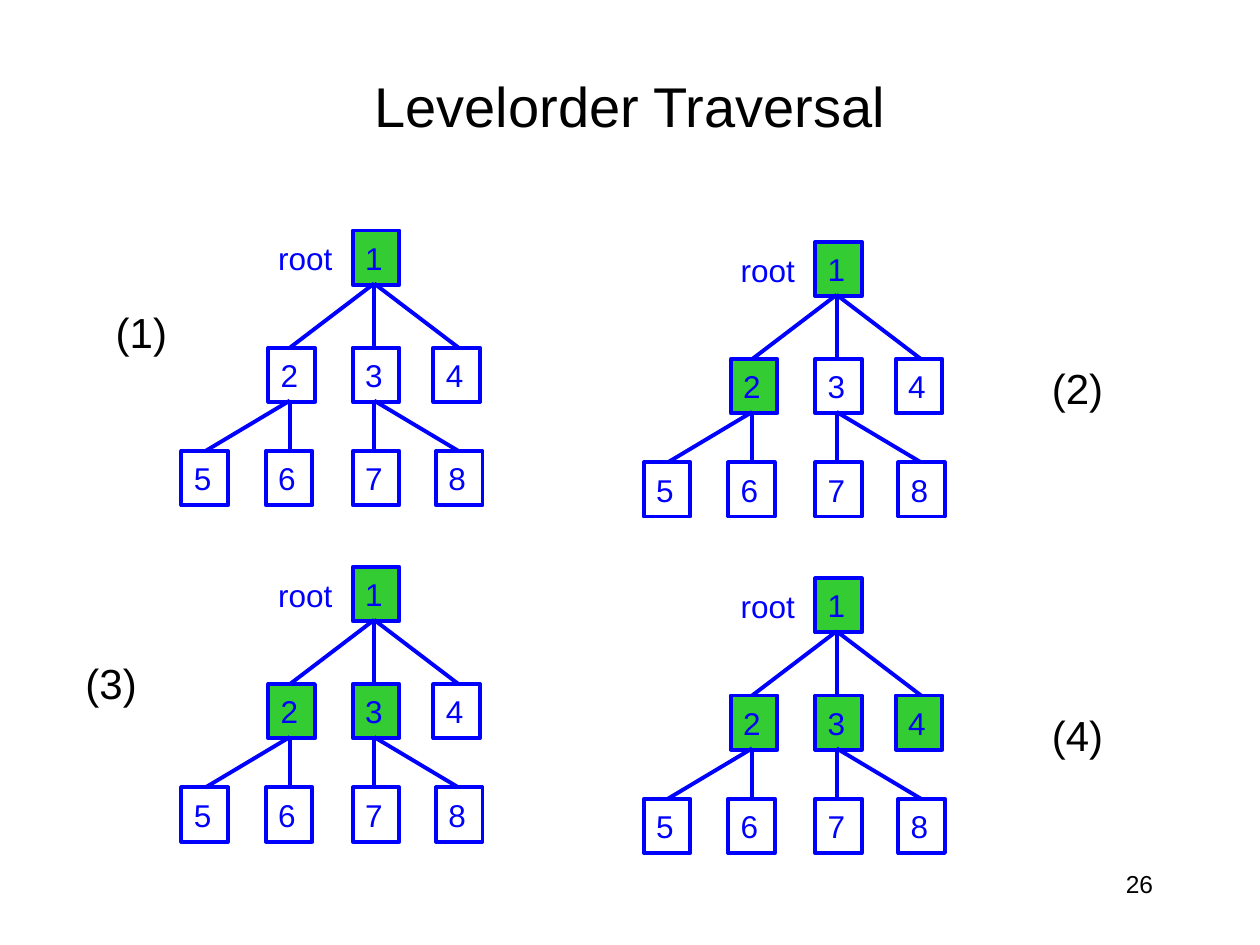
from lxml.etree import SubElement
from pptx import Presentation
from pptx.dml.color import RGBColor
from pptx.enum.shapes import MSO_CONNECTOR, MSO_SHAPE
from pptx.enum.text import MSO_ANCHOR, PP_ALIGN
from pptx.oxml.ns import qn
from pptx.util import Inches, Pt

# Content
TITLE = "Levelorder Traversal"
PAGE_NUMBER = "26"
# step label, its position, nodes visited so far
STEPS = [
    ("(1)", (0.82, 2.38), "1"),
    ("(2)", (8.25, 2.83), "12"),
    ("(3)", (0.58, 5.17), "123"),
    ("(4)", (8.25, 5.58), "1234"),
]
# node: (column, level, nudge to the right in inches)
NODES = {
    "1": (2, 0, 0.02), "2": (1, 1, 0.02), "3": (2, 1, 0.02), "4": (3, 1, -0.01),
    "5": (0, 2, 0), "6": (1, 2, 0), "7": (2, 2, 0.02), "8": (3, 2, 0.01),
}
EDGES = ["13", "12", "14", "25", "26", "37", "38"]

COLORS = {"text": "000000", "tree": "0000FF", "visited": "33CC33"}
FONT = "Arial"

# Tree grid, in inches
TREE_LEFT, TREE_TOP = 1.44, 1.83
TREE_PITCH_X, TREE_PITCH_Y, RIGHT_DROP = 3.67, 2.67, 0.09
COLUMN_PITCH = 0.67
LEVEL_TOPS = [0, 0.93, 1.75]
NODE_WIDTH, NODE_HEIGHT = 0.37, 0.43
EDGE_INSET = 0.19
LINE_WIDTH = Pt(2.25)


def color(name):
    return RGBColor.from_string(COLORS[name])


def write(shape, text, size, color_name, align=PP_ALIGN.LEFT, wrap=False):
    frame = shape.text_frame
    frame.word_wrap = wrap
    frame.vertical_anchor = MSO_ANCHOR.MIDDLE
    paragraph = frame.paragraphs[0]
    paragraph.alignment = align
    run = paragraph.add_run()
    run.text = text
    run.font.name = FONT
    run.font.size = Pt(size)
    run.font.color.rgb = color(color_name)


def add_label(slide, text, box, size, color_name, **layout):
    label = slide.shapes.add_textbox(*map(Inches, box))
    write(label, text, size, color_name, **layout)


def add_node(slide, name, left, top, visited):
    column, level, nudge = NODES[name]
    node = slide.shapes.add_shape(
        MSO_SHAPE.RECTANGLE,
        Inches(left + column * COLUMN_PITCH + nudge),
        Inches(top + LEVEL_TOPS[level]),
        Inches(NODE_WIDTH), Inches(NODE_HEIGHT))
    node.shadow.inherit = False
    if visited:
        node.fill.solid()
        node.fill.fore_color.rgb = color("visited")
    else:
        node.fill.background()
    node.line.color.rgb = color("tree")
    node.line.width = LINE_WIDTH
    write(node, name, 18, "tree")


def add_edge(slide, parent, child, left, top):
    (start_column, start_level, _), (end_column, end_level, _) = NODES[parent], NODES[child]
    center = left + EDGE_INSET
    edge = slide.shapes.add_connector(
        MSO_CONNECTOR.STRAIGHT,
        Inches(center + start_column * COLUMN_PITCH),
        Inches(top + LEVEL_TOPS[start_level] + NODE_HEIGHT - 0.01),
        Inches(center + end_column * COLUMN_PITCH),
        Inches(top + LEVEL_TOPS[end_level]))
    edge.line.color.rgb = color("tree")
    edge.line.width = LINE_WIDTH
    SubElement(edge._element.spPr, qn("a:effectLst"))


def add_tree(slide, left, top, visited):
    for name in NODES:
        add_node(slide, name, left, top, name in visited)
    for parent, child in EDGES:
        add_edge(slide, parent, child, left, top)
    add_label(slide, "root", (left + COLUMN_PITCH, top + 0.02, 0.63, 0.4), 18, "tree")


def main():
    deck = Presentation()
    deck.slide_width, deck.slide_height = Inches(10), Inches(7.5)
    slide = deck.slides.add_slide(deck.slide_layouts[5])

    # Title and page number
    title = slide.shapes.title
    title.left, title.top = Inches(0.75), Inches(0.42)
    title.width, title.height = Inches(8.5), Inches(0.83)
    write(title, TITLE, 32, "text", PP_ALIGN.CENTER, wrap=True)
    add_label(slide, PAGE_NUMBER, (7.17, 6.83, 2.08, 0.36), 14, "text",
              align=PP_ALIGN.RIGHT, wrap=True)

    # One tree per step, two by two
    for index, (step, place, visited) in enumerate(STEPS):
        row, column = divmod(index, 2)
        left = TREE_LEFT + column * TREE_PITCH_X
        top = TREE_TOP + row * TREE_PITCH_Y + column * RIGHT_DROP
        add_tree(slide, left, top, visited)
        add_label(slide, step, (*place, 0.61, 0.5), 24, "text")

    deck.save("out.pptx")


if __name__ == "__main__":
    main()
